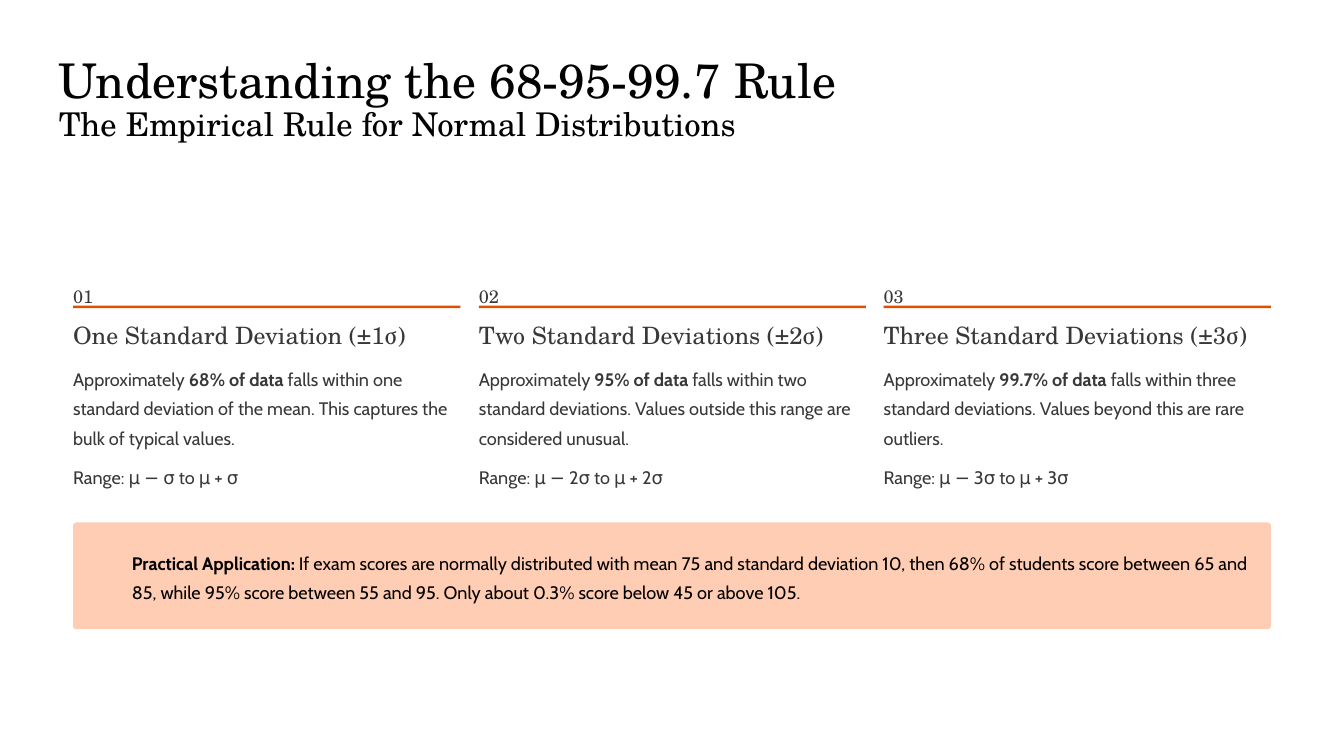
from dataclasses import dataclass

from pptx import Presentation
from pptx.dml.color import RGBColor
from pptx.enum.shapes import MSO_SHAPE
from pptx.util import Emu, Pt

EMU_PER_PX = 9144


@dataclass(frozen=True)
class Style:
    font: str
    size: float
    leading: float
    color: str


@dataclass(frozen=True)
class Theme:
    page: str = "FFFFFF"
    rule: str = "E04F00"
    panel: str = "FFCDB3"
    title: Style = Style("TeX Gyre Schola", 41, 51, "020202")
    subtitle: Style = Style("TeX Gyre Schola", 28, 30.5, "020202")
    number: Style = Style("TeX Gyre Schola", 15.5, 25, "383838")
    heading: Style = Style("TeX Gyre Schola", 20.5, 25.5, "383838")
    body: Style = Style("Cabin", 15.5, 25, "383838")
    note: Style = Style("Cabin", 15.5, 25, "000000")


THEME = Theme()

PAGE_WIDTH = 1600
PAGE_HEIGHT = 900
COLUMN_LEFT = 87
COLUMN_WIDTH = 461
CONTENT_WIDTH = 1426

DEVIATIONS = [
    ("One Standard Deviation (±1σ)", "68% of data",
     " falls within one standard deviation of the mean. "
     "This captures the bulk of typical values.",
     "Range: μ − σ to μ + σ"),
    ("Two Standard Deviations (±2σ)", "95% of data",
     " falls within two standard deviations. "
     "Values outside this range are considered unusual.",
     "Range: μ − 2σ to μ + 2σ"),
    ("Three Standard Deviations (±3σ)", "99.7% of data",
     " falls within three standard deviations. "
     "Values beyond this are rare outliers.",
     "Range: μ − 3σ to μ + 3σ"),
]


def px(value):
    return Emu(value * EMU_PER_PX)


def add_text(slide, box, pieces, style):
    frame = slide.shapes.add_textbox(*map(px, box)).text_frame
    frame.word_wrap = True
    frame.margin_left = frame.margin_right = 0
    frame.margin_top = frame.margin_bottom = 0
    paragraph = frame.paragraphs[0]
    paragraph.line_spacing = Pt(style.leading)
    for words, bold in pieces:
        run = paragraph.add_run()
        run.text = words
        run.font.name = style.font
        run.font.size = Pt(style.size)
        run.font.bold = bold
        run.font.color.rgb = RGBColor.from_string(style.color)


def add_line(slide, box, words, style):
    add_text(slide, box, [(words, False)], style)


def add_block(slide, kind, box, color):
    block = slide.shapes.add_shape(kind, *map(px, box))
    block.shadow.inherit = False
    block.fill.solid()
    block.fill.fore_color.rgb = RGBColor.from_string(color)
    block.line.fill.background()
    return block


def add_deviation(slide, index, heading, share, meaning, span):
    left = COLUMN_LEFT + (index * 965 + 1) // 2
    add_line(slide, (left, 331, 40, 27), f"{index + 1:02}", THEME.number)
    add_block(slide, MSO_SHAPE.RECTANGLE, (left, 364, COLUMN_WIDTH, 3), THEME.rule)
    add_line(slide, (left, 381, COLUMN_WIDTH, 36), heading, THEME.heading)
    explanation = [("Approximately ", False), (share, True), (meaning, False)]
    add_text(slide, (left, 430, COLUMN_WIDTH, 104), explanation, THEME.body)
    add_line(slide, (left, 546, COLUMN_WIDTH, 35), span, THEME.body)


def add_application(slide):
    panel = add_block(slide, MSO_SHAPE.ROUNDED_RECTANGLE,
                      (COLUMN_LEFT, 622, CONTENT_WIDTH, 127), THEME.panel)
    panel.adjustments[0] = 0.03
    example = [
        ("Practical Application:", True),
        (" If exam scores are normally distributed with mean 75 and standard "
         "deviation 10, then 68% of students score between 65 and 85, while 95% "
         "score between 55 and 95. Only about 0.3% score below 45 or above 105.",
         False),
    ]
    add_text(slide, (157, 649, 1334, 69), example, THEME.note)


def main():
    presentation = Presentation()
    presentation.slide_width = px(PAGE_WIDTH)
    presentation.slide_height = px(PAGE_HEIGHT)
    slide = presentation.slides.add_slide(presentation.slide_layouts[6])
    add_block(slide, MSO_SHAPE.RECTANGLE, (0, 0, PAGE_WIDTH, PAGE_HEIGHT), THEME.page)
    add_line(slide, (70, 58, 960, 71), "Understanding the 68-95-99.7 Rule", THEME.title)
    add_line(slide, (70, 128, 860, 43),
             "The Empirical Rule for Normal Distributions", THEME.subtitle)
    for index, deviation in enumerate(DEVIATIONS):
        add_deviation(slide, index, *deviation)
    add_application(slide)
    presentation.save("out.pptx")


if __name__ == "__main__":
    main()
